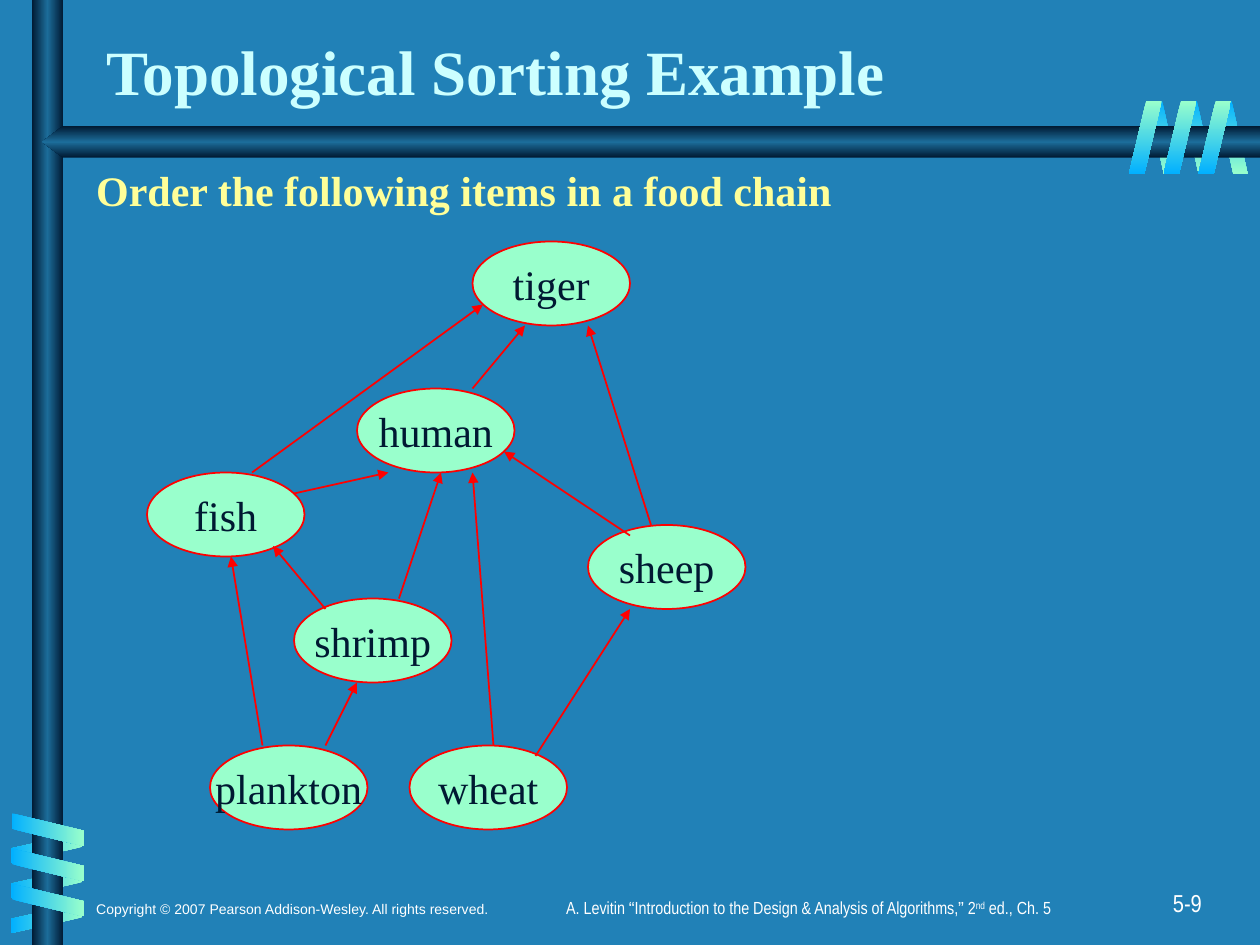
from dataclasses import dataclass

from lxml import etree
from pptx import Presentation
from pptx.dml.color import RGBColor
from pptx.enum.shapes import MSO_CONNECTOR, MSO_SHAPE
from pptx.enum.text import MSO_ANCHOR, PP_ALIGN
from pptx.oxml.ns import qn
from pptx.util import Cm, Pt

LEFT, CENTER, RIGHT = PP_ALIGN.LEFT, PP_ALIGN.CENTER, PP_ALIGN.RIGHT
TOP, MIDDLE, BOTTOM = MSO_ANCHOR.TOP, MSO_ANCHOR.MIDDLE, MSO_ANCHOR.BOTTOM
OVAL, BAR, COIL = MSO_SHAPE.OVAL, MSO_SHAPE.RECTANGLE, MSO_SHAPE.PARALLELOGRAM
STRAIGHT = MSO_CONNECTOR.STRAIGHT


@dataclass(frozen=True)
class Theme:
    background: str = "2181B7"
    title: str = "CCFFFF"
    body: str = "FFFF99"
    footer: str = "FFFFFF"
    node: str = "99FFCC"
    node_text: str = "001932"
    edge: str = "FF0000"
    coil: tuple = ("99FFCC", "01B0FF")
    rod: tuple = ("001932", "1C6D9A", "001932")
    serif: str = "Times New Roman"
    sans: str = "Arial"
    narrow: str = "Arial Narrow"
    title_size: int = 36
    body_size: int = 24
    number_size: int = 14
    citation_size: int = 10
    copyright_size: int = 8
    line_width: int = 1


def write(frame, text, *, font, size, color, bold=False, align=LEFT,
          anchor=TOP, wrap=True):
    """Fill a text frame; text is a string or (text, font, baseline) runs."""
    frame.word_wrap = wrap
    frame.vertical_anchor = anchor
    frame.margin_left = frame.margin_right = Cm(0.25)
    frame.margin_top = frame.margin_bottom = Cm(0.13)
    paragraph = frame.paragraphs[0]
    paragraph.alignment = align
    runs = [(text, font, 0)] if isinstance(text, str) else text
    for words, face, baseline in runs:
        run = paragraph.add_run()
        run.text = words
        run.font.name = face
        run.font.size = Pt(size)
        run.font.bold = bold
        run.font.color.rgb = RGBColor.from_string(color)
        if baseline:
            run.font._element.set("baseline", str(baseline * 1000))


class SlideBuilder:
    def __init__(self, slide, theme):
        self.slide = slide
        self.shapes = slide.shapes
        self.theme = theme
        fill = slide.background.fill
        fill.solid()
        fill.fore_color.rgb = RGBColor.from_string(theme.background)

    def text(self, box, words, **style):
        frame = self.shapes.add_textbox(*map(Cm, box)).text_frame
        write(frame, words, **style)

    def shade(self, shape, colors, angle):
        """Spread colours evenly along an angle that stays fixed to the slide."""
        shape.shadow.inherit = False
        shape.line.fill.background()
        shape.fill.gradient()
        gradient = shape._element.spPr.find(qn("a:gradFill"))
        gradient.set("rotWithShape", "0")
        gradient.find(qn("a:lin")).set("ang", str(angle * 60000))
        stops = gradient.find(qn("a:gsLst"))
        for stop in list(stops):
            stops.remove(stop)
        for index, color in enumerate(colors):
            position = index * 100000 // (len(colors) - 1)
            stop = etree.SubElement(stops, qn("a:gs"), pos=str(position))
            etree.SubElement(stop, qn("a:srgbClr"), val=color)

    def coils(self, box, step, colors, angle, rotation, flipped=False):
        """Three equal slanted bands, each moved on by step."""
        left, top, width, height = box
        for turn in range(3):
            band = self.shapes.add_shape(
                COIL, Cm(left + turn * step[0]), Cm(top + turn * step[1]),
                Cm(width), Cm(height))
            band.adjustments[0] = 0.53
            band.rotation = rotation
            if flipped:
                band._element.spPr.find(qn("a:xfrm")).set("flipH", "1")
            self.shade(band, colors, angle)

    def post(self, box):
        self.shade(self.shapes.add_shape(BAR, *map(Cm, box)), self.theme.rod, 0)

    def beam(self, points):
        start, *rest = [(Cm(x), Cm(y)) for x, y in points]
        outline = self.shapes.build_freeform(*start)
        outline.add_line_segments(rest, close=True)
        self.shade(outline.convert_to_shape(), self.theme.rod, 90)

    def outline(self, line):
        line.color.rgb = RGBColor.from_string(self.theme.edge)
        line.width = Pt(self.theme.line_width)

    def node(self, name, box):
        theme = self.theme
        oval = self.shapes.add_shape(OVAL, *map(Cm, box))
        oval.shadow.inherit = False
        oval.fill.solid()
        oval.fill.fore_color.rgb = RGBColor.from_string(theme.node)
        self.outline(oval.line)
        write(oval.text_frame, name, font=theme.serif, size=theme.body_size,
              color=theme.node_text, align=CENTER, anchor=MIDDLE, wrap=False)

    def arrow(self, tip, origin):
        edge = self.shapes.add_connector(STRAIGHT, *map(Cm, tip + origin))
        self.outline(edge.line)
        etree.SubElement(edge.line._get_or_add_ln(), qn("a:headEnd"),
                         type="triangle")
        etree.SubElement(edge._element.spPr, qn("a:effectLst"))


# The diagram sits on a grid of twelve cells to the inch
CELL = 2.54 / 12
NODE_SIZE = (15, 8)
NODES = {
    "fish": (14, 45), "human": (34, 37), "shrimp": (28, 57),
    "sheep": (56, 50), "wheat": (39, 71), "plankton": (20, 71),
    "tiger": (45, 23),
}
# Arrow tip at the eater, origin at the eaten
EDGES = [
    ((50, 31), (45, 37)),  # human to tiger
    ((37, 45), (28, 47)),  # fish to human
    ((48, 43), (60, 51)),  # sheep to human
    ((42, 45), (38, 57)),  # shrimp to human
    ((26, 52), (31, 58)),  # shrimp to fish
    ((22, 53), (25, 71)),  # plankton to fish
    ((45, 45), (47, 71)),  # wheat to human
    ((60, 58), (51, 72)),  # wheat to sheep
    ((46, 29), (24, 45)),  # fish to tiger
    ((56, 31), (62, 50)),  # sheep to tiger
    ((34, 65), (31, 71)),  # plankton to shrimp
]


def on_grid(cells):
    return tuple(cell * CELL for cell in cells)


def main():
    deck = Presentation()
    deck.slide_width, deck.slide_height = Cm(25.4), Cm(19.05)
    theme = Theme()
    page = SlideBuilder(deck.slides.add_slide(deck.slide_layouts[6]), theme)
    light_first, blue_first = theme.coil, theme.coil[::-1]

    # Rods, with coils behind and in front
    across, down = (0.7, 0), (0, 0.71)
    page.coils((23.14, 2.03, 0.61, 1.47), across, blue_first, 90, 180, True)
    page.coils((0.64, 16.36, 0.61, 1.45), down, light_first, 0, 90, True)
    page.post((0.64, 0, 0.64, 19.05))
    page.beam([(25.4, 2.54), (1.27, 2.54), (0.85, 2.86),
               (1.27, 3.18), (25.4, 3.18)])
    page.coils((0.63, 16, 0.66, 1.45), down, blue_first, 0, 270)
    page.coils((22.76, 2.03, 0.66, 1.47), across, light_first, 90, 0)

    # Footer
    page.text((19.2, 17.78, 5.28, 0.84), "5-9", font=theme.narrow,
              size=theme.number_size, color=theme.footer, align=RIGHT)
    page.text((1.69, 17.15, 10.8, 1.47),
              "Copyright © 2007 Pearson Addison-Wesley. All rights reserved.",
              font=theme.sans, size=theme.copyright_size, color=theme.footer,
              anchor=BOTTOM)
    citation = [
        ("A. Levitin ", theme.narrow, 0),
        ("“", theme.sans, 0),
        ("Introduction to the Design & Analysis of Algorithms,", theme.narrow, 0),
        ("”", theme.sans, 0),
        (" 2", theme.narrow, 0),
        ("nd", theme.narrow, 30),
        (" ed., Ch. 5", theme.narrow, 0),
    ]
    page.text((7.41, 17.96, 17.78, 0.84), citation, font=theme.narrow,
              size=theme.citation_size, color=theme.footer, align=CENTER)

    # Title and task
    page.text((1.9, 0.42, 21.08, 1.9), "Topological Sorting Example",
              font=theme.serif, size=theme.title_size, color=theme.title,
              bold=True, anchor=BOTTOM)
    page.text((1.69, 3.18, 23.07, 14.04),
              "Order the following items in a food chain", font=theme.serif,
              size=theme.body_size, color=theme.body, bold=True)

    # Food chain
    for name, corner in NODES.items():
        page.node(name, on_grid(corner + NODE_SIZE))
    for tip, origin in EDGES:
        page.arrow(on_grid(tip), on_grid(origin))

    deck.save("out.pptx")


if __name__ == "__main__":
    main()
